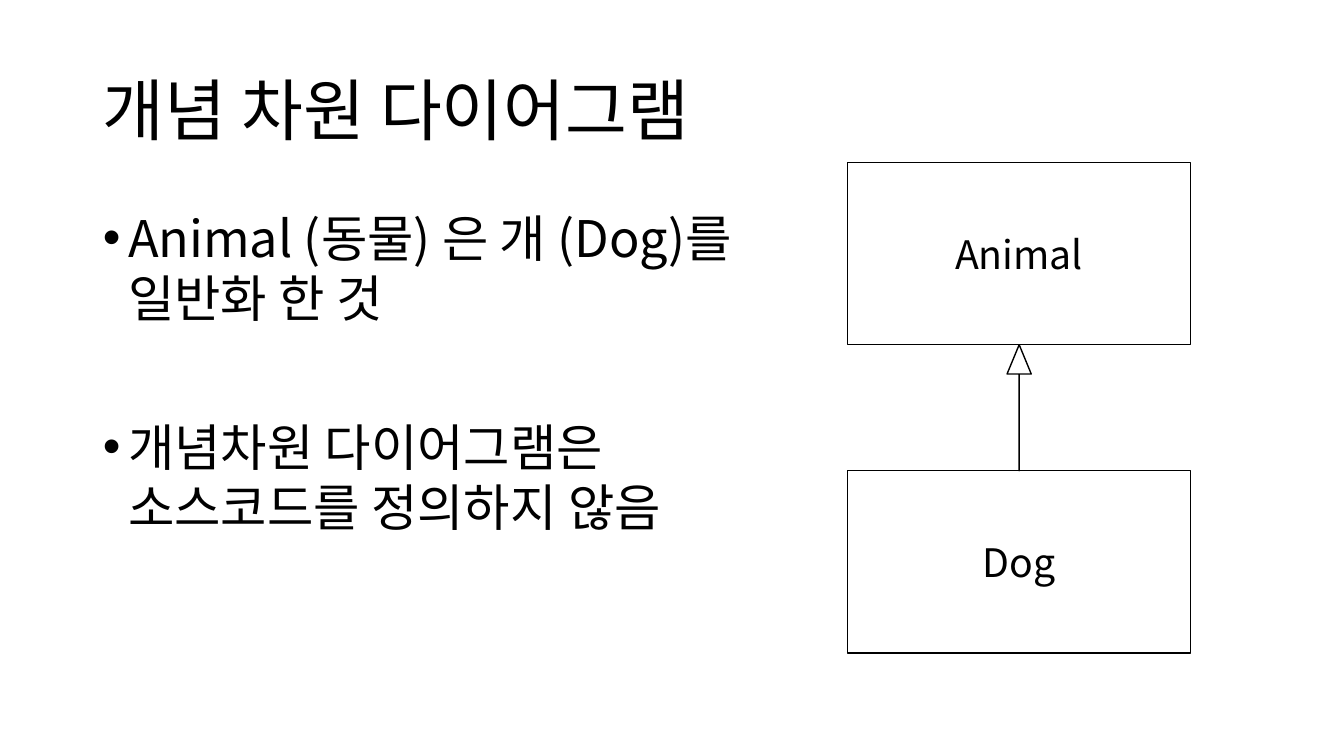
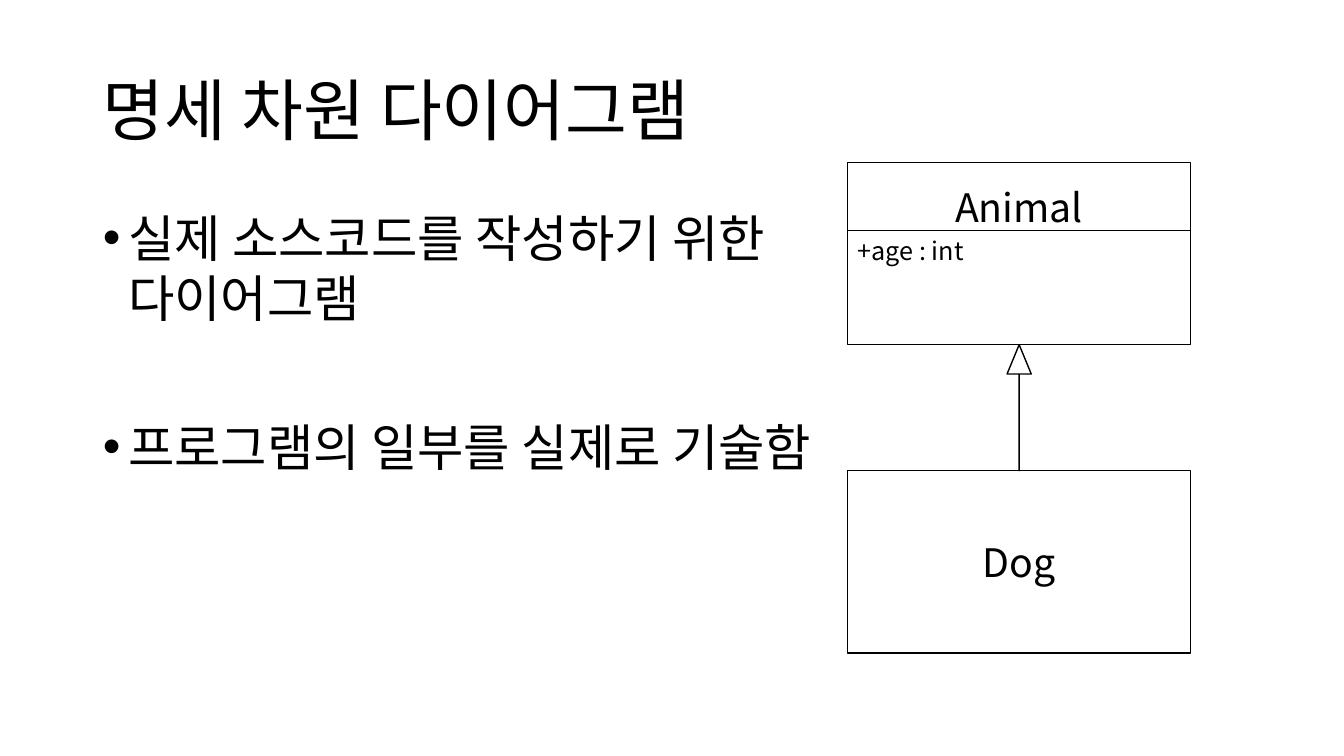
import pptx
import pptx.dml.color
import pptx.enum.shapes
import pptx.enum.text
import pptx.oxml
import pptx.util

FONT = "Noto Sans CJK KR"
INK, PAPER = "000000", "FFFFFF"
ALIGN = pptx.enum.text.PP_ALIGN
ANCHOR = pptx.enum.text.MSO_ANCHOR
FIT = pptx.enum.text.MSO_AUTO_SIZE
SHAPE = pptx.enum.shapes.MSO_SHAPE

# Grid of 100 columns by 100 rows: left edges, widths, tops and heights
MARGIN, TITLE_WIDTH = 6.9, 86.25
BOX_LEFT, BOX_WIDTH, BOX_HEIGHT = 63.08, 25.5, 24.13
PARENT_TOP, CHILD_TOP = 21.47, 62.27
PARENT_BOTTOM = PARENT_TOP + BOX_HEIGHT
DIVIDER_TOP = 30.53
ARROW_WIDTH = 1.8


def color(value):
    return pptx.dml.color.RGBColor.from_string(value)


def write(frame, *lines, size, align=ALIGN.LEFT, anchor=ANCHOR.TOP,
          fit=FIT.NONE, spacing=1.0, before=(0,), indent=0):
    """Fill a text frame, one paragraph for each line."""
    frame.word_wrap = True
    frame.auto_size = fit
    frame.vertical_anchor = anchor
    for number, line in enumerate(lines):
        paragraph = frame.paragraphs[0] if number == 0 else frame.add_paragraph()
        paragraph.alignment = align
        paragraph.line_spacing = spacing
        paragraph.space_before = pptx.util.Pt(before[number])
        if indent:
            hanging = pptx.util.Inches(indent)
            properties = paragraph._p.get_or_add_pPr()
            properties.set("marL", str(hanging))
            properties.set("indent", str(-hanging))
        run = paragraph.add_run()
        run.text = line
        run.font.name = FONT
        run.font.size = pptx.util.Pt(size)
        run.font.color.rgb = color(INK)
        east_asian = pptx.oxml.parse_xml(
            '<a:ea xmlns:a="http://schemas.openxmlformats.org/drawingml/2006/main"'
            f' typeface="{FONT}"/>')
        run.font._element.find(pptx.oxml.ns.qn("a:latin")).addnext(east_asian)


class Deck:
    """Holds the shared style and the current slide."""

    def __init__(self):
        self.show = pptx.Presentation()
        self.show.slide_width = pptx.util.Inches(13.33)
        self.show.slide_height = pptx.util.Inches(7.5)
        self.slide = None

    def across(self, columns):
        return round(self.show.slide_width * columns / 100)

    def down(self, rows):
        return round(self.show.slide_height * rows / 100)

    def area(self, left, top, width, height):
        return (self.across(left), self.down(top),
                self.across(width), self.down(height))

    def place(self, holder, *cells):
        holder.left, holder.top, holder.width, holder.height = self.area(*cells)
        return holder.text_frame

    def new_slide(self, title, points, points_width):
        self.slide = self.show.slides.add_slide(self.show.slide_layouts[1])
        heading, body = self.slide.placeholders
        write(self.place(heading, MARGIN, 5.33, TITLE_WIDTH, 19.33), title,
              size=48, anchor=ANCHOR.MIDDLE, spacing=0.9)
        write(self.place(body, MARGIN, 26.67, points_width, 63.45), *points,
              size=36, before=(10, 63), indent=0.25)

    def outline(self, kind, *cells):
        shape = self.slide.shapes.add_shape(kind, *self.area(*cells))
        shape.shadow.inherit = False
        shape.line.color.rgb = color(INK)
        shape.line.width = pptx.util.Pt(1)
        return shape

    def class_box(self, name, top, room_below=0.05):
        box = self.outline(SHAPE.RECTANGLE, BOX_LEFT, top, BOX_WIDTH, BOX_HEIGHT)
        box.fill.solid()
        box.fill.fore_color.rgb = color(PAPER)
        box.text_frame.margin_bottom = pptx.util.Inches(room_below)
        write(box.text_frame, name, size=28, align=ALIGN.CENTER,
              anchor=ANCHOR.MIDDLE)

    def inheritance_arrow(self):
        left = BOX_LEFT + (BOX_WIDTH - ARROW_WIDTH) / 2
        arrow = self.outline(SHAPE.DOWN_ARROW, left, PARENT_BOTTOM,
                             ARROW_WIDTH, CHILD_TOP - PARENT_BOTTOM)
        arrow.rotation = 180
        arrow.adjustments[0] = 0
        arrow.adjustments[1] = 1.21
        arrow.fill.background()

    def divider(self, top):
        line = self.slide.shapes.add_connector(
            pptx.enum.shapes.MSO_CONNECTOR.STRAIGHT,
            self.across(BOX_LEFT), self.down(top),
            self.across(BOX_LEFT + BOX_WIDTH), self.down(top))
        line.line.color.rgb = color(INK)
        line.line.width = pptx.util.Pt(0.5)
        line._element.spPr.append(pptx.oxml.parse_xml(
            '<a:effectLst xmlns:a='
            '"http://schemas.openxmlformats.org/drawingml/2006/main"/>'))

    def attribute(self, text, top):
        label = self.slide.shapes.add_textbox(
            *self.area(BOX_LEFT, top, BOX_WIDTH, 5.33))
        write(label.text_frame, text, size=18, fit=FIT.SHAPE_TO_FIT_TEXT)

    def class_diagram(self, attribute=None):
        self.class_box("Animal", PARENT_TOP, 0.98 if attribute else 0.05)
        self.class_box("Dog", CHILD_TOP)
        self.inheritance_arrow()
        if attribute:
            self.divider(DIVIDER_TOP)
            self.attribute(attribute, DIVIDER_TOP)


deck = Deck()

# Conceptual level: class names only
deck.new_slide("개념 차원 다이어그램",
               ["Animal (동물) 은 개 (Dog)를 일반화 한 것",
                "개념차원 다이어그램은 소스코드를 정의하지 않음"], 51.69)
deck.class_diagram()

# Specification level: the parent class shows its attribute
deck.new_slide("명세 차원 다이어그램",
               ["실제 소스코드를 작성하기 위한 다이어그램",
                "프로그램의 일부를 실제로 기술함"], 56.04)
deck.class_diagram("+age : int")

deck.show.save("out.pptx")
